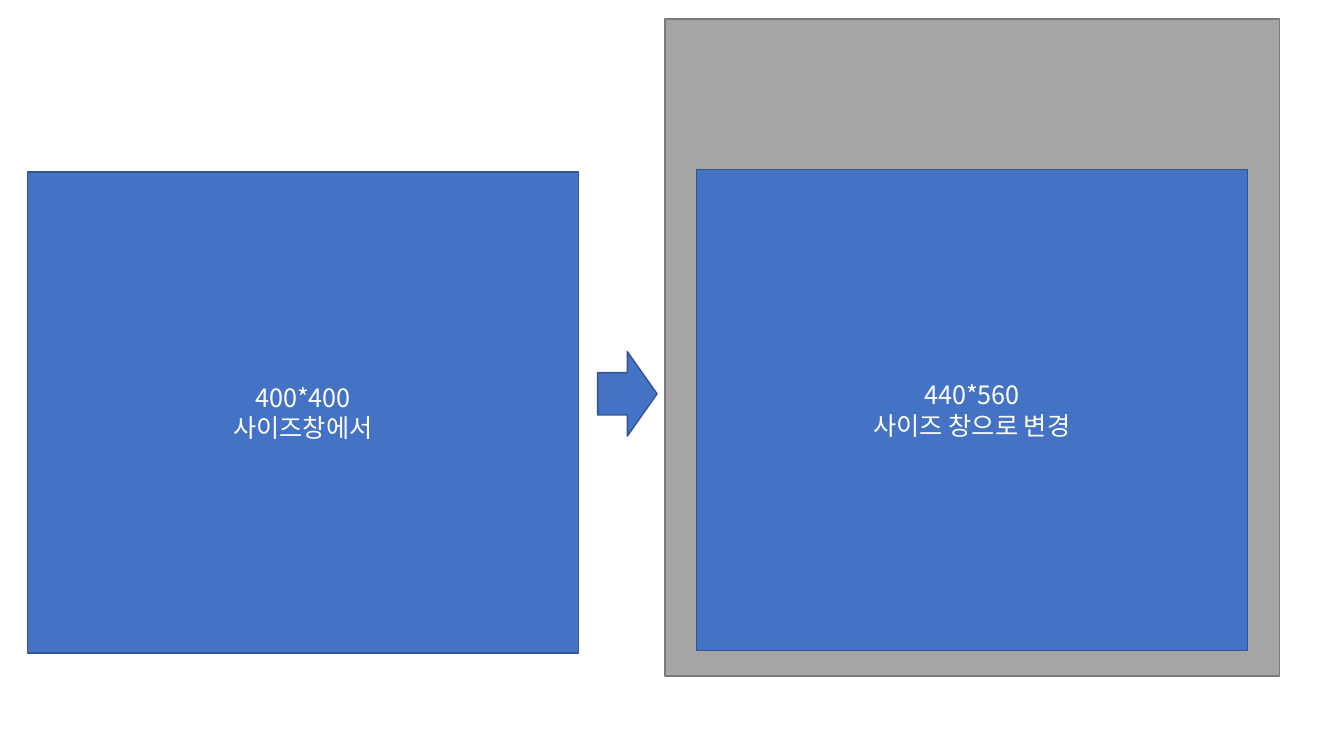
from lxml.etree import SubElement
from pptx import Presentation
from pptx.dml.color import RGBColor
from pptx.enum.shapes import MSO_SHAPE
from pptx.enum.text import MSO_ANCHOR, PP_ALIGN
from pptx.oxml.ns import qn
from pptx.util import Cm, Pt

COLORS = {
    "blue": "4472C4",
    "blue line": "325491",
    "gray": "A5A5A5",
    "gray line": "7A7A7A",
    "text": "FFFFFF",
}
FONT = "Noto Sans CJK KR"
WINDOW_WIDTH, WINDOW_HEIGHT = 13.89, 12.12

presentation = Presentation()
presentation.slide_width = Cm(33.87)
presentation.slide_height = Cm(19.05)
slide = presentation.slides.add_slide(presentation.slide_layouts[6])


def add_block(kind, left, top, width, height, color):
    shape = slide.shapes.add_shape(kind, Cm(left), Cm(top), Cm(width), Cm(height))
    shape.shadow.inherit = False
    shape.fill.solid()
    shape.fill.fore_color.rgb = RGBColor.from_string(COLORS[color])
    shape.line.color.rgb = RGBColor.from_string(COLORS[f"{color} line"])
    shape.line.width = Pt(1)
    return shape


def add_window(left, top, text):
    window = add_block(MSO_SHAPE.RECTANGLE, left, top, WINDOW_WIDTH, WINDOW_HEIGHT, "blue")
    text_frame = window.text_frame
    text_frame.text = text
    text_frame.word_wrap = True
    text_frame.vertical_anchor = MSO_ANCHOR.MIDDLE
    for paragraph in text_frame.paragraphs:
        paragraph.alignment = PP_ALIGN.CENTER
        paragraph.font.size = Pt(18)
        paragraph.font.name = FONT
        paragraph.font.color.rgb = RGBColor.from_string(COLORS["text"])
        default_properties = paragraph._p.pPr.find(qn("a:defRPr"))
        SubElement(default_properties, qn("a:ea"), typeface=FONT)


add_window(0.69, 4.34, "400*400\n사이즈창에서")
add_block(MSO_SHAPE.RECTANGLE, 16.76, 0.48, 15.49, 16.56, "gray")
add_window(17.55, 4.27, "440*560\n사이즈 창으로 변경")
add_block(MSO_SHAPE.RIGHT_ARROW, 15.06, 8.86, 1.5, 2.13, "blue")

presentation.save("out.pptx")
